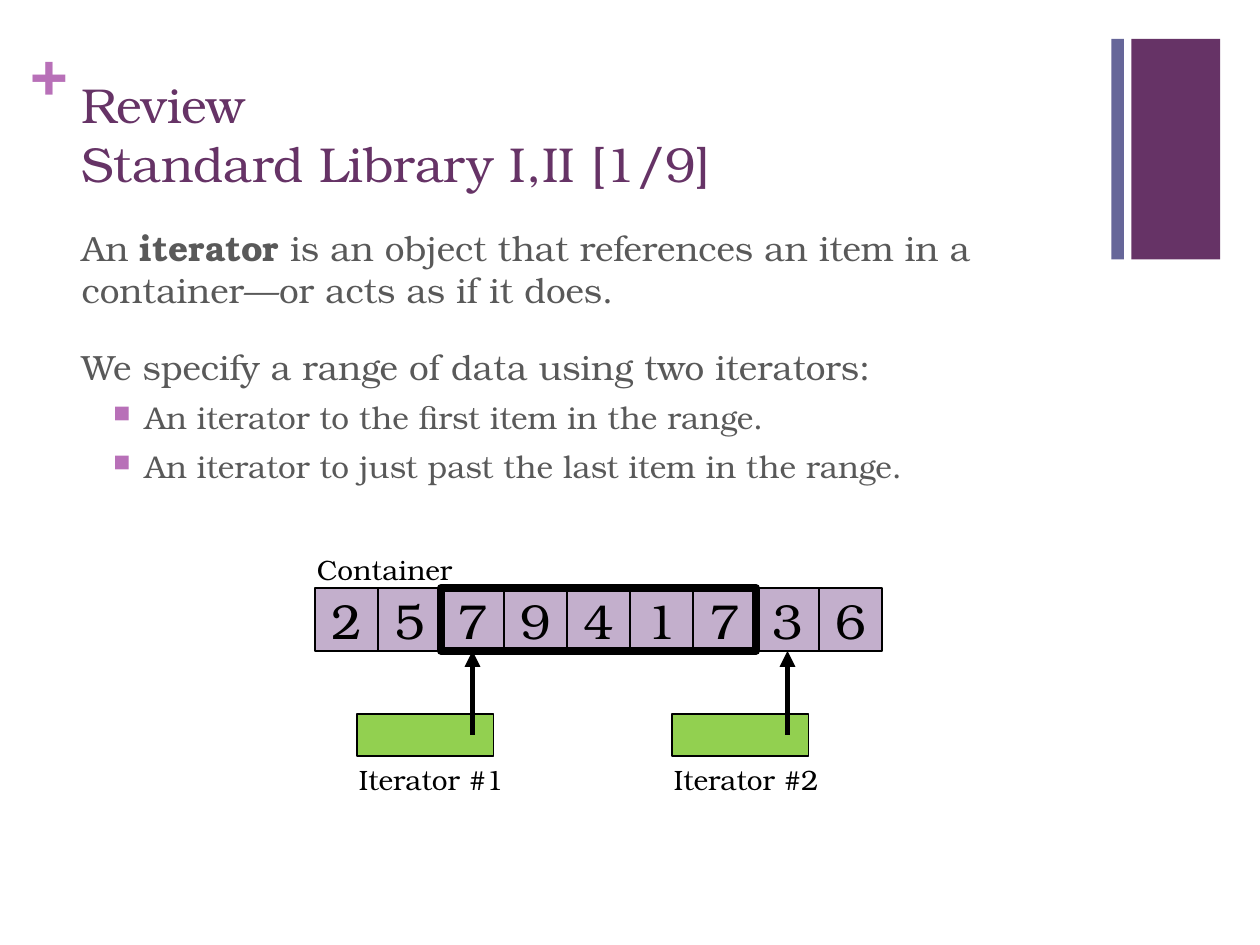
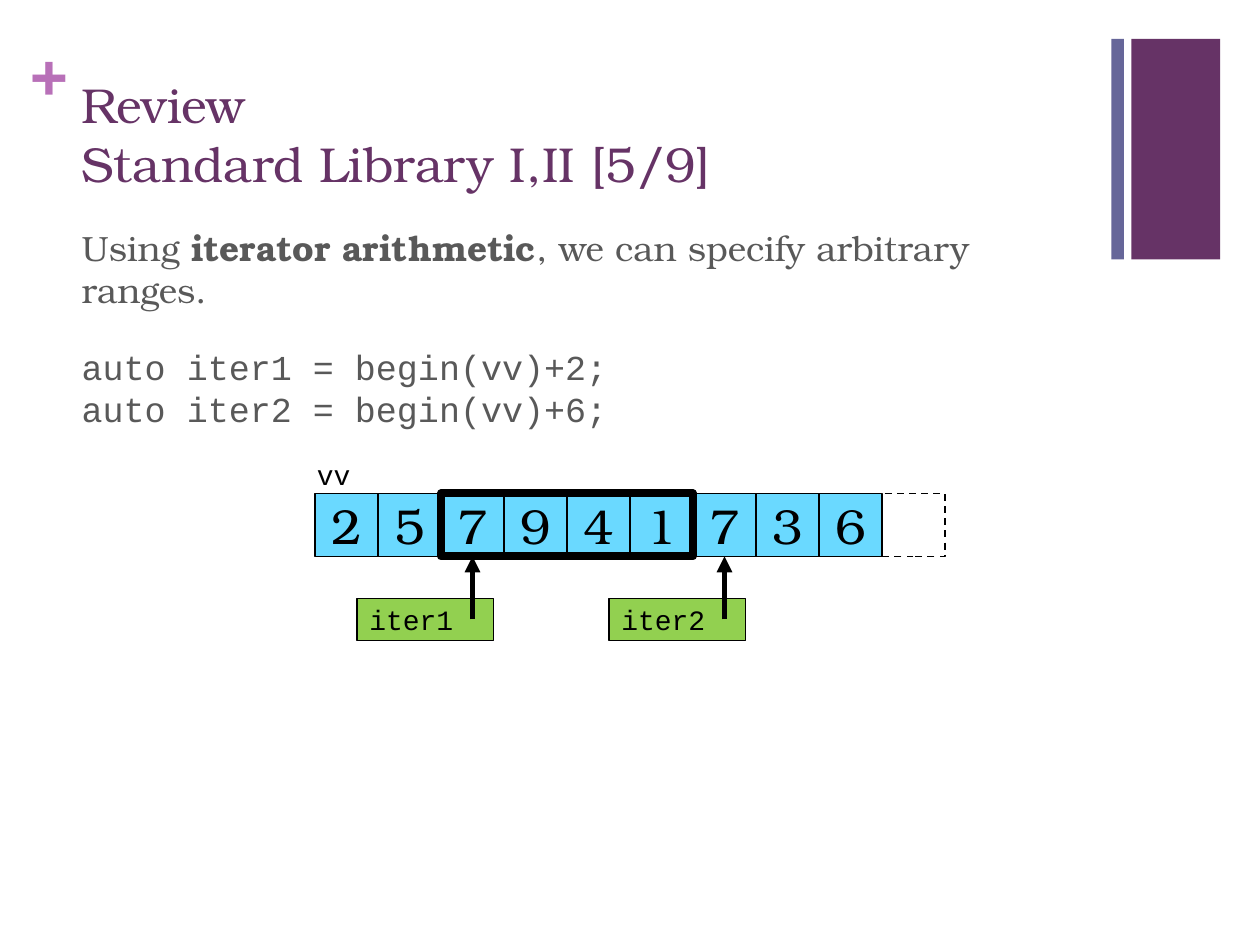
from lxml import etree
from pptx import Presentation
from pptx.dml.color import RGBColor
from pptx.enum.dml import MSO_LINE
from pptx.enum.shapes import MSO_CONNECTOR, MSO_SHAPE
from pptx.enum.text import MSO_ANCHOR, PP_ALIGN
from pptx.oxml.ns import qn
from pptx.util import Inches, Pt

RECTANGLE = MSO_SHAPE.RECTANGLE
STRAIGHT = MSO_CONNECTOR.STRAIGHT
DASH = MSO_LINE.DASH
TOP, MIDDLE = MSO_ANCHOR.TOP, MSO_ANCHOR.MIDDLE
LEFT, CENTER = PP_ALIGN.LEFT, PP_ALIGN.CENTER

PURPLE = RGBColor(0x66, 0x33, 0x66)
SLATE = RGBColor(0x66, 0x66, 0x99)
ORCHID = RGBColor(0xB8, 0x70, 0xB8)
GRAY = RGBColor(0x59, 0x59, 0x59)
BLACK = RGBColor(0x00, 0x00, 0x00)
LILAC = RGBColor(0xC3, 0xAF, 0xCC)
SKY = RGBColor(0x6A, 0xD9, 0xFF)
GREEN = RGBColor(0x92, 0xD0, 0x50)

SERIF = "TeX Gyre Bonum"
MONO = "Courier New"

COLUMNS, ROWS = 120, 90
CELL = 6
ARRAY_LEFT = 30
VALUES = [2, 5, 7, 9, 4, 1, 7, 3, 6]


def add_child(parent, tag, **attributes):
    return etree.SubElement(parent, qn(tag), attributes)


def add_bullet(paragraph):
    properties = paragraph._p.get_or_add_pPr()
    properties.set("marL", str(Inches(0.5)))
    properties.set("indent", str(Inches(-0.25)))
    color = add_child(properties, "a:buClr")
    add_child(color, "a:srgbClr", val=str(ORCHID))
    add_child(properties, "a:buSzPct", val="75000")
    add_child(properties, "a:buChar", char="■")


def write(paragraph, text, size=16, color=BLACK, font=SERIF, align=LEFT,
          before=0, bold=False, bullet=False):
    """Fill a paragraph; parts between ** marks are bold, newlines are breaks."""
    if bullet:
        add_bullet(paragraph)
    paragraph.alignment = align
    paragraph.space_before = Pt(before)
    for line_number, line in enumerate(text.split("\n")):
        if line_number:
            paragraph.add_line_break()
        for part_number, part in enumerate(line.split("**")):
            run = paragraph.add_run()
            run.text = part
            run.font.size = Pt(size)
            run.font.name = font
            run.font.color.rgb = color
            run.font.bold = bold or part_number % 2 == 1


class Deck:
    def __init__(self):
        self.presentation = Presentation()
        self.presentation.slide_width = Inches(10)
        self.presentation.slide_height = Inches(7.5)
        self.slide = None

    def x(self, columns):
        return round(self.presentation.slide_width * columns / COLUMNS)

    def y(self, rows):
        return round(self.presentation.slide_height * rows / ROWS)

    def area(self, left, top, width, height):
        return self.x(left), self.y(top), self.x(width), self.y(height)

    def box(self, *place, fill=None, line=None, dash=None, text="", **style):
        shape = self.slide.shapes.add_shape(RECTANGLE, *self.area(*place))
        shape.shadow.inherit = False
        if fill is None:
            shape.fill.background()
        else:
            shape.fill.solid()
            shape.fill.fore_color.rgb = fill
        if line is None:
            shape.line.fill.background()
        else:
            shape.line.color.rgb = BLACK
            shape.line.width = Pt(line)
        if dash is not None:
            shape.line.dash_style = dash
        if text:
            shape.text_frame.vertical_anchor = MIDDLE
            write(shape.text_frame.paragraphs[0], text, **style)

    def text(self, *place, paragraphs, anchor=TOP, inset=True, **style):
        """Add a text box; each paragraph is a text with its own format."""
        frame = self.slide.shapes.add_textbox(*self.area(*place)).text_frame
        frame.word_wrap = True
        frame.vertical_anchor = anchor
        if not inset:
            frame.margin_left = frame.margin_right = 0
            frame.margin_top = frame.margin_bottom = 0
        for number, (content, own_style) in enumerate(paragraphs):
            paragraph = frame.add_paragraph() if number else frame.paragraphs[0]
            write(paragraph, content, **{**style, **own_style})

    def label(self, left, top, width, content, font=SERIF):
        self.text(left, top, width, 4.4, paragraphs=[(content, {})], font=font)

    def arrow_up(self, column, start, end):
        arrow = self.slide.shapes.add_connector(
            STRAIGHT, self.x(column), self.y(start), self.x(column), self.y(end))
        arrow.line.color.rgb = BLACK
        arrow.line.width = Pt(3)
        add_child(arrow.line._get_or_add_ln(), "a:tailEnd", type="triangle")
        add_child(arrow._element.spPr, "a:effectLst")

    def start_slide(self, page, paragraphs):
        layout = self.presentation.slide_layouts[6]
        self.slide = self.presentation.slides.add_slide(layout)
        self.box(107.76, 3.7, 8.45, 21, fill=PURPLE)
        self.text(2.9, 3, 3.5, 7.3, paragraphs=[("+", {})], inset=False,
                  size=36, color=ORCHID, bold=True)
        self.box(105.84, 3.7, 1.2, 21, fill=SLATE)
        title = f"Review\nStandard Library I,II [{page}/9]"
        self.text(6.6, 6.4, 99.1, 12.6, paragraphs=[(title, {})],
                  anchor=MIDDLE, size=28, color=PURPLE)
        self.text(6.6, 21, 99.1, 62, paragraphs=paragraphs, size=20, color=GRAY)

    def container(self, top, name, fill, first, past, font=SERIF):
        """Draw the values in a row and frame the range [first, past)."""
        self.label(ARRAY_LEFT - 1, top - 4, 30, name, font)
        for index, value in enumerate(VALUES):
            self.box(ARRAY_LEFT + index * CELL, top, CELL, CELL, fill=fill,
                     line=1, text=str(value), size=28, align=CENTER)
        self.box(ARRAY_LEFT + first * CELL, top, (past - first) * CELL, CELL,
                 line=4.5)

    def iterator(self, index, container_top, top, text="", caption=""):
        center = ARRAY_LEFT + (index + 0.5) * CELL
        self.box(center - 11, top, 13, 4, fill=GREEN, line=1, text=text,
                 font=MONO)
        self.arrow_up(center, top + 2, container_top + CELL)
        if caption:
            self.label(center - 12, top + 4, 18, caption)


def add_range_slide(deck):
    item = {"size": 18, "before": 6, "bullet": True}
    deck.start_slide(1, [
        ("An **iterator** is an object that references an item in a "
         "container—or acts as if it does.", {}),
        ("We specify a range of data using two iterators:", {"before": 20}),
        ("An iterator to the first item in the range.", item),
        ("An iterator to just past the last item in the range.", item),
    ])
    top, first, past = 56, 2, 7
    deck.container(top, "Container", LILAC, first, past)
    for number, index in enumerate((first, past), start=1):
        deck.iterator(index, top, top + 12, caption=f"Iterator #{number}")


def add_arithmetic_slide(deck):
    deck.start_slide(5, [
        ("Using **iterator arithmetic**, we can specify arbitrary ranges.", {}),
        ("auto iter1 = begin(vv)+2;\nauto iter2 = begin(vv)+6;",
         {"before": 20, "font": MONO}),
    ])
    top, first, past = 47, 2, 6
    end_column = ARRAY_LEFT + len(VALUES) * CELL
    deck.box(end_column, top, CELL, CELL, line=1, dash=DASH)
    deck.container(top, "vv", SKY, first, past, font=MONO)
    for number, index in enumerate((first, past), start=1):
        deck.iterator(index, top, top + 10, text=f"iter{number}")


def main():
    deck = Deck()
    add_range_slide(deck)
    add_arithmetic_slide(deck)
    deck.presentation.save("out.pptx")


if __name__ == "__main__":
    main()
